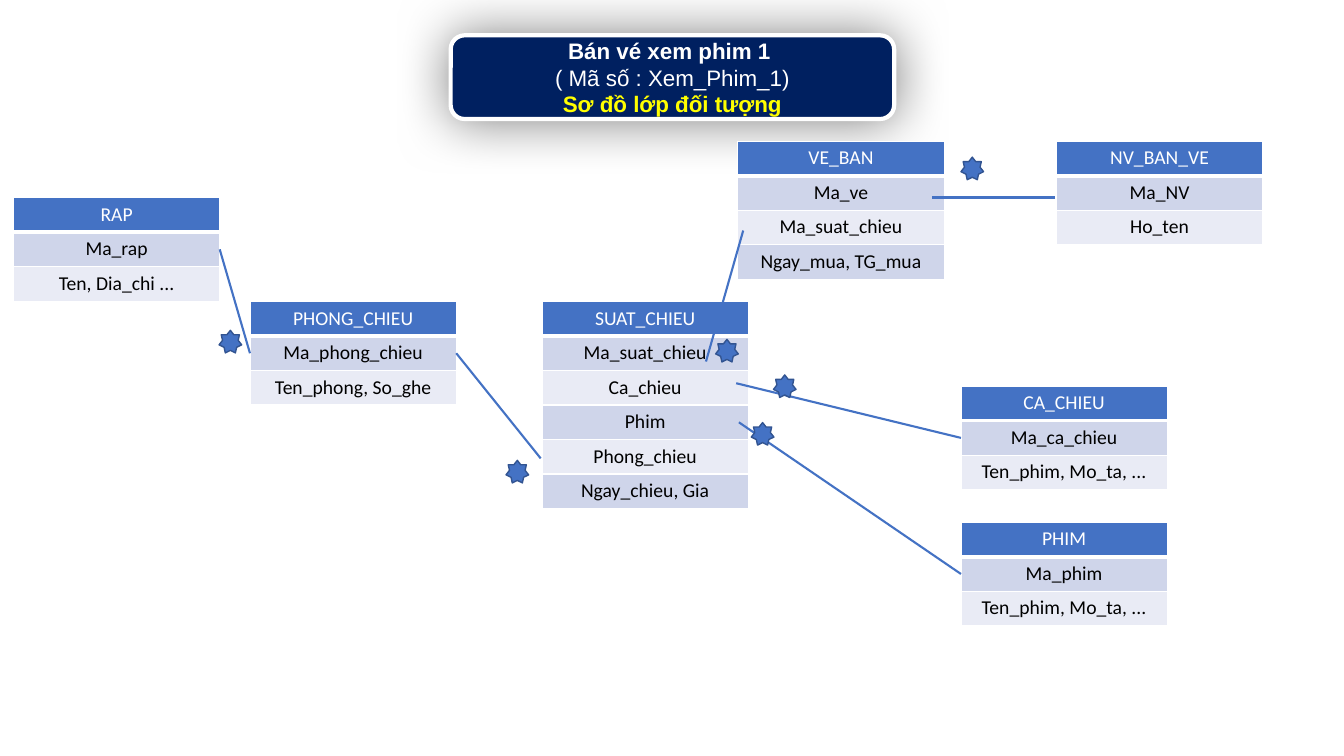
from lxml import etree
from pptx import Presentation
from pptx.dml.color import RGBColor
from pptx.enum.shapes import MSO_CONNECTOR, MSO_SHAPE
from pptx.enum.text import MSO_ANCHOR, MSO_AUTO_SIZE, PP_ALIGN
from pptx.oxml.ns import qn
from pptx.util import Inches, Pt

ROUND, STAR = MSO_SHAPE.ROUNDED_RECTANGLE, MSO_SHAPE.STAR_7_POINT
LINE = MSO_CONNECTOR.STRAIGHT
MID, TOP = MSO_ANCHOR.MIDDLE, MSO_ANCHOR.TOP
CENTER, NO_FIT = PP_ALIGN.CENTER, MSO_AUTO_SIZE.NONE

HEX = {"navy": "002060", "white": "FFFFFF", "gold": "FFFF00", "black": "000000",
       "blue": "4472C4", "edge": "325491", "odd": "CFD5EA", "even": "E9EBF5"}

# Widths and heights are percent of the slide's width and height.
WIDE, TALL = 15.35, 4.57
PLATE = (33.53, 4.67, 33, 11.07)
HEAD = [("Bán vé xem phim 1 ", "white", True),
        ("( Mã số : Xem_Phim_1)", "white", False),
        ("Sơ đồ lớp đối tượng", "gold", True)]

# Each class: left, top, name and fields.
CLASSES = [
    (40.33, 39.87, ["SUAT_CHIEU", "Ma_suat_chieu", "Ca_chieu", "Phim",
                    "Phong_chieu", "Ngay_chieu, Gia"]),
    (71.5, 69.07, ["PHIM", "Ma_phim", "Ten_phim, Mo_ta, ..."]),
    (18.6, 39.87, ["PHONG_CHIEU", "Ma_phong_chieu", "Ten_phong, So_ghe"]),
    (71.5, 51.07, ["CA_CHIEU", "Ma_ca_chieu", "Ten_phim, Mo_ta, ..."]),
    (1, 26.13, ["RAP", "Ma_rap", "Ten, Dia_chi ..."]),
    (54.9, 18.67, ["VE_BAN", "Ma_ve", "Ma_suat_chieu", "Ngay_mua, TG_mua"]),
    (78.6, 18.67, ["NV_BAN_VE", "Ma_NV", "Ho_ten"]),
]

# Each end: class, row, side (0 left, 1 right), nudge across, nudge down.
# The last pair is the left and top of the star that marks "many".
LINKS = [
    (("PHIM", 1, 0, 0, 0), ("SUAT_CHIEU", 3, 1, -0.7, 0), (55.9, 55.9)),
    (("SUAT_CHIEU", 4, 0, -0.1, 0.2), ("PHONG_CHIEU", 1, 1, 0, 0), (37.65, 60.9)),
    (("CA_CHIEU", 1, 0, 0, 0), ("SUAT_CHIEU", 2, 1, -0.9, -0.6), (57.55, 49.6)),
    (("PHONG_CHIEU", 1, 0, 0, 0), ("RAP", 1, 1, 0, 0), (16.3, 43.7)),
    (("VE_BAN", 2, 0, 0.4, 0.4), ("SUAT_CHIEU", 1, 1, -3.15, 1.1), (53.25, 44.9)),
    (("NV_BAN_VE", 1, 0, -0.1, 0.6), ("VE_BAN", 1, 1, -0.9, 0.6), (71.5, 20.8)),
]


def color(name):
    return RGBColor.from_string(HEX[name])


def tint(node, name):
    """Add a solid fill to an XML node and return its colour node."""
    fill = etree.SubElement(node, qn("a:solidFill"))
    return etree.SubElement(fill, qn("a:srgbClr"), val=HEX[name])


class Board:
    """Holds the deck, the slide and the places of the classes."""

    def __init__(self):
        self.deck = Presentation()
        self.deck.slide_width, self.deck.slide_height = Inches(13.33), Inches(7.5)
        self.slide = self.deck.slides.add_slide(self.deck.slide_layouts[5])
        self.shapes = self.slide.shapes
        self.spots = {}

    def x(self, share):
        return round(self.deck.slide_width * share / 100)

    def y(self, share):
        return round(self.deck.slide_height * share / 100)

    def area(self, left, top, wide, tall):
        return self.x(left), self.y(top), self.x(wide), self.y(tall)

    def label(self, para, text, font, size, ink, bold=False):
        para.alignment = CENTER
        run = para.add_run()
        run.text = text
        run.font.name, run.font.size, run.font.bold = font, Pt(size), bold
        run.font.color.rgb = color(ink)

    def shape(self, kind, box, fill, edge, width):
        item = self.shapes.add_shape(kind, *box)
        item.shadow.inherit = False
        item.fill.solid()
        item.fill.fore_color.rgb = color(fill)
        item.line.color.rgb = color(edge)
        item.line.width = Pt(width)
        return item

    def title(self, box, lines):
        plate = self.shape(ROUND, self.area(*box), "navy", "white", 3)
        glow = etree.SubElement(
            plate._element.spPr.find(qn("a:effectLst")), qn("a:outerShdw"),
            blurRad=str(Pt(38)), dist="0", dir="5400000", algn="ctr", rotWithShape="0")
        etree.SubElement(tint(glow, "black"), qn("a:alpha"), val="49000")
        shade = glow[0][0]
        glow.replace(glow[0], shade)
        head = self.shapes.title
        head._element.addprevious(plate._element)
        head.left, head.top, head.width, head.height = self.area(*box)
        frame = head.text_frame
        frame.word_wrap, frame.auto_size, frame.vertical_anchor = True, NO_FIT, MID
        frame.margin_top = frame.margin_bottom = 0
        for i, (text, ink, bold) in enumerate(lines):
            para = frame.add_paragraph() if i else frame.paragraphs[0]
            para.line_spacing, para.space_before = 1.0, Pt(0)
            self.label(para, text, "Arial", 16, ink, bold)

    def table(self, left, top, rows):
        self.spots[rows[0]] = left, top
        box = self.area(left, top, WIDE, TALL * len(rows))
        grid = self.shapes.add_table(len(rows), 1, *box).table
        for i, text in enumerate(rows):
            grid.rows[i].height = self.y(TALL)
            cell = grid.cell(i, 0)
            cell.vertical_anchor = TOP
            cell.fill.solid()
            cell.fill.fore_color.rgb = color(("even", "odd")[i % 2] if i else "blue")
            self.label(cell.text_frame.paragraphs[0], text, "Calibri", 14,
                       "black" if i else "white")
            self.border(cell, above=3 if i == 1 else 1, below=1 if i else 3)

    def border(self, cell, above, below):
        props = cell._tc.get_or_add_tcPr()
        sides = {"a:lnL": 1, "a:lnR": 1, "a:lnT": above, "a:lnB": below}
        for i, (side, width) in enumerate(sides.items()):
            line = etree.SubElement(props, qn(side), w=str(Pt(width)))
            tint(line, "white")
            props.insert(i, line)

    def port(self, name, row, side, across, down):
        """Find the point at the side of a class row."""
        left, top = self.spots[name]
        return (self.x(left + side * WIDE + across),
                self.y(top + (row + 0.5) * TALL + down))

    def link(self, start, end, star):
        line = self.shapes.add_connector(LINE, *self.port(*start), *self.port(*end))
        line.line.color.rgb = color("blue")
        line.line.width = Pt(1.5)
        etree.SubElement(line._element.spPr, qn("a:effectLst"))
        self.shape(STAR, self.area(*star, 1.68, 2.98), "blue", "edge", 1)


def main():
    board = Board()
    board.title(PLATE, HEAD)
    for item in CLASSES:
        board.table(*item)
    for item in LINKS:
        board.link(*item)
    board.deck.save("out.pptx")


if __name__ == "__main__":
    main()
